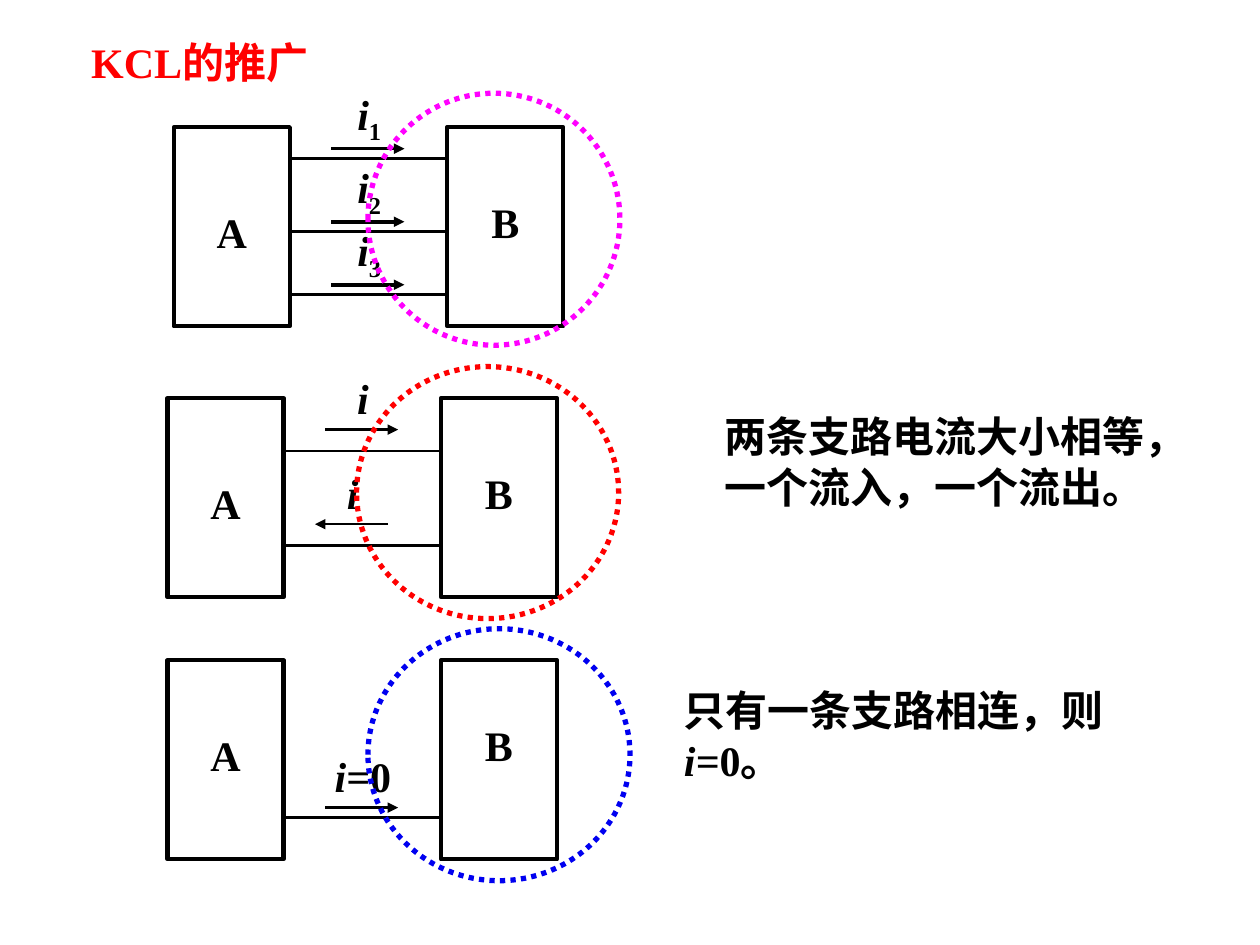
from lxml import etree
from pptx import Presentation
from pptx import util as u
from pptx.dml.color import RGBColor
from pptx.enum import dml, shapes, text
from pptx.oxml.ns import qn

COLORS = {"black": "000000", "red": "FF0000", "magenta": "FF00FF", "blue": "0000F0"}
FONT = {"name": "Times New Roman", "size": u.Pt(24), "bold": True}
BOX_W, BOX_H, GAP = 0.92, 1.58, 1.25
LABEL_H = 0.5
I = ("i", {"italic": True})

# Offsets are measured from the top left corner of box A.
# A wire is (height, reversed current, label runs, label width).
PANELS = [
    {"left": 1.33, "top": 5.24, "name_top": 0.5, "lift": 0.08, "weight": 1.5,
     "wires": [(1.25, False, [("i=", {"italic": True}), ("0", {})], 1.08)]},
    {"left": 1.33, "top": 3.16, "name_top": 0.58, "lift": 0.17, "weight": 1.5,
     "wires": [(1.17, True, [I], 0.45), (0.42, False, [I], 0.45)]},
    {"left": 1.38, "top": 1.01, "name_top": 0.58, "lift": 0.08, "weight": 2,
     "wires": [(y, False, [I, (n, {"baseline": -25})], 0.45)
               for n, y in (("3", 1.33), ("2", 0.83), ("1", 0.25))]},
]
CUTS = [
    (2.92, 0.74, 2, "magenta"),
    (2.83, 2.91, 2.08, "red"),
    (2.92, 4.99, 2.08, "blue"),
]


def rgb(color):
    return RGBColor.from_string(COLORS[color])


def add_outline(page, kind, area, weight, color="black", dash=None):
    """Add an unfilled preset shape."""
    shape = page.shapes.add_shape(kind, *map(u.Inches, area))
    shape.shadow.inherit = False
    shape.fill.background()
    shape.line.color.rgb = rgb(color)
    shape.line.width = u.Pt(weight)
    if dash:
        shape.line.dash_style = dash


def add_line(page, start, end, weight, arrow=False):
    line = page.shapes.add_connector(
        shapes.MSO_CONNECTOR.STRAIGHT, *map(u.Inches, (*start, *end)))
    line.line.color.rgb = rgb("black")
    line.line.width = u.Pt(weight)
    if arrow:
        etree.SubElement(line.line._get_or_add_ln(), qn("a:tailEnd"), type="triangle")
    etree.SubElement(line._element.spPr, qn("a:effectLst"))


def add_text(page, area, paras, color="black", align=text.PP_ALIGN.CENTER,
             wrap=True, right=0.1):
    """Add a text box; each paragraph is a list of (words, format) runs."""
    box = page.shapes.add_textbox(*map(u.Inches, area))
    frame = box.text_frame
    frame.word_wrap = wrap
    frame.vertical_anchor = text.MSO_ANCHOR.MIDDLE
    frame.margin_right = u.Inches(right)
    for number, runs in enumerate(paras):
        para = frame.add_paragraph() if number else frame.paragraphs[0]
        para.alignment = align
        for words, style in runs:
            span = para.add_run()
            span.text = words
            span.font.color.rgb = rgb(color)
            for key, value in {**FONT, **style}.items():
                if key == "baseline":
                    span._r.get_or_add_rPr().set(key, str(value * 1000))
                else:
                    setattr(span.font, key, value)


def add_panel(page, left, top, name_top, lift, weight, wires):
    """Add boxes A and B with the wires and currents between them."""
    right = left + BOX_W + GAP
    # B sits slightly higher than A
    for name, x, y in (("A", left, name_top), ("B", right, name_top - 0.08)):
        add_outline(page, shapes.MSO_SHAPE.RECTANGLE, (x, top, BOX_W, BOX_H), 2.5)
        add_text(page, (x + 0.24, top + y, 0.44, LABEL_H), [[(name, {})]], wrap=False)
    for height, reverse, label, width in wires:
        y = top + height
        add_line(page, (left + BOX_W, y), (right, y), 1.5)
        ends = (1.75, 1.17) if reverse else (1.25, 1.83)
        start, end = ((left + x, y - lift) for x in ends)
        add_line(page, start, end, weight, arrow=True)
        center = (start[0] + end[0]) / 2 + 0.01
        add_text(page, (center - width / 2, y - lift - LABEL_H, width, LABEL_H), [label])


def main():
    deck = Presentation()
    deck.slide_width, deck.slide_height = u.Inches(10), u.Inches(7.5)
    page = deck.slides.add_slide(deck.slide_layouts[6])

    add_text(page, (0.42, 0.24, 2.33, 0.5), [[("KCL的推广", {})]], "red")
    for panel in PANELS:
        add_panel(page, **panel)
    for left, top, width, color in CUTS:
        add_outline(page, shapes.MSO_SHAPE.OVAL, (left, top, width, 2), 3, color,
                    dml.MSO_LINE.ROUND_DOT)

    add_text(page, (5.65, 3.21, 3.89, 0.9),
             [[("两条支路电流大小相等，", {})], [("一个流入，一个流出。", {})]],
             align=text.PP_ALIGN.LEFT, wrap=False)
    add_text(page, (5.33, 5.58, 4.42, 0.5),
             [[("只有一条支路相连，则 ", {}), ("i=", {"italic": True}), ("0。", {})]],
             align=text.PP_ALIGN.LEFT, right=0.4)
    deck.save("out.pptx")


if __name__ == "__main__":
    main()
